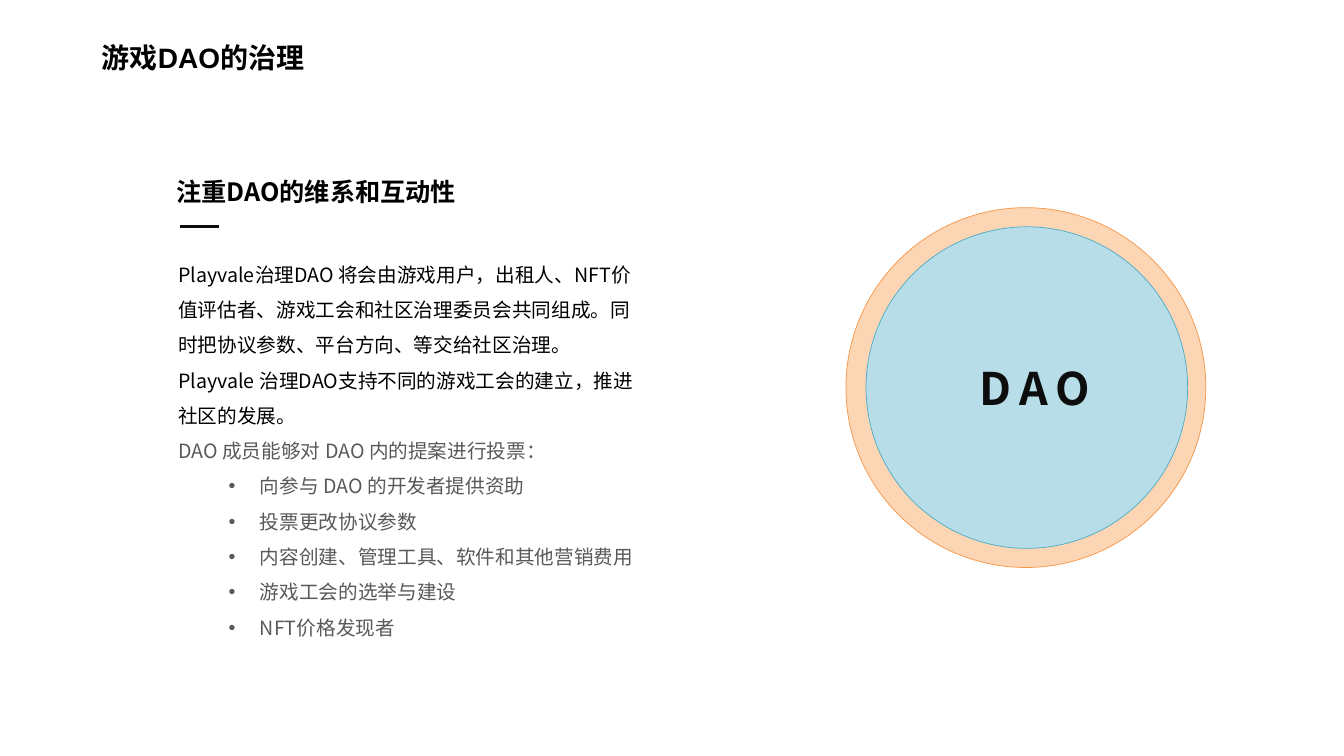
from lxml.etree import SubElement as Sub
from pptx import Presentation
from pptx.dml.color import RGBColor as Rgb
from pptx.enum.shapes import MSO_CONNECTOR as Link, MSO_SHAPE as Kind
from pptx.enum.text import MSO_AUTO_SIZE as Fit, PP_ALIGN as Align
from pptx.oxml.ns import qn
from pptx.util import Inches, Pt

INK = {
    "black": "000000", "dark": "0D0D0D", "grey": "595959",
    "peach": "FCD5B5", "orange": "F79646", "sky": "B7DEE8", "teal": "4BACC6",
}
SANS = "Noto Sans CJK SC"
LEAD = [
    "Playvale治理DAO 将会由游戏用户，出租人、NFT价值评估者、游戏工会和社区治理委员会共同组成。同时把协议参数、平台方向、等交给社区治理。",
    "Playvale 治理DAO支持不同的游戏工会的建立，推进社区的发展。",
]
VOTE = "DAO 成员能够对 DAO 内的提案进行投票："
ITEMS = [
    "向参与 DAO 的开发者提供资助",
    "投票更改协议参数",
    "内容创建、管理工具、软件和其他营销费用",
    "游戏工会的选举与建设",
    "NFT价格发现者",
]


def tint(name):
    return Rgb.from_string(INK[name])


def part(box, x, y, w, h):
    left, top, wide, high = box
    return (int(left + wide * x / 100), int(top + high * y / 100),
            int(wide * w / 100), int(high * h / 100))


def write(par, text, size=14, font=SANS, color="black", bold=False,
          gap=0, lead=None, align=None, dot=False):
    run = par.add_run()
    run.text = text
    run.font.size, run.font.name, run.font.bold = Pt(size), font, bold
    run.font.color.rgb = tint(color)
    props = run.font._element
    Sub(props, qn("a:ea")).set("typeface", SANS)
    if gap:
        props.set("spc", str(gap * 100))
    if lead:
        par.line_spacing = lead
    if align:
        par.alignment = align
    if dot:
        par.level = 1
        form = par._p.get_or_add_pPr()
        form.set("marL", str(Inches(0.81)))
        form.set("indent", str(Inches(-0.31)))
        Sub(form, qn("a:buFont")).set("typeface", "Arial")
        Sub(form, qn("a:buChar")).set("char", "•")


def frame(slide, box):
    text = slide.shapes.add_textbox(*box).text_frame
    text.word_wrap = True
    text.auto_size = Fit.SHAPE_TO_FIT_TEXT
    return text


def label(slide, box, text, **form):
    write(frame(slide, box).paragraphs[0], text, **form)


def disc(slide, box, fill, edge):
    shape = slide.shapes.add_shape(Kind.OVAL, *box)
    shape.shadow.inherit = False
    shape.fill.solid()
    shape.fill.fore_color.rgb = tint(fill)
    shape.line.color.rgb = tint(edge)
    shape.line.width = Pt(0.5)


def dash(slide, box):
    x, y, w, h = box
    line = slide.shapes.add_connector(Link.STRAIGHT, x, y, x + w, y + h)
    line.line.color.rgb = tint("dark")
    line.line.width = Pt(2.25)
    Sub(line._element.spPr, qn("a:effectLst"))


def title(slide, box):
    label(slide, box, "游戏DAO的治理", size=20, font="Arial", bold=True)


def story(slide, box):
    label(slide, part(box, 0, 0, 88.05, 8.46), "注重DAO的维系和互动性",
          size=18, bold=True)
    dash(slide, part(box, 2.94, 11.63, 7.97, 0))
    body = frame(slide, part(box, 0.42, 15.64, 99.58, 84.36))
    rows = [(text, {}) for text in LEAD]
    rows.append((VOTE, {"color": "grey"}))
    rows += [(text, {"color": "grey", "dot": True}) for text in ITEMS]
    for i, (text, form) in enumerate(rows):
        par = body.add_paragraph() if i else body.paragraphs[0]
        write(par, text, lead=1.5, **form)


def badge(slide, box):
    disc(slide, box, "peach", "orange")
    disc(slide, part(box, 5.6, 5.32, 89.36, 89.36), "sky", "teal")
    label(slide, part(box, 21.29, 41.18, 62.46, 17.93), "DAO", size=32,
          color="dark", bold=True, gap=6, align=Align.CENTER)


def main():
    deck = Presentation()
    deck.slide_width, deck.slide_height = Inches(13.33), Inches(7.5)
    slide = deck.slides.add_slide(deck.slide_layouts[6])
    page = (0, 0, deck.slide_width, deck.slide_height)
    title(slide, part(page, 6.83, 4.67, 35.41, 5.87))
    story(slide, part(page, 12.38, 22.67, 35.78, 63.07))
    badge(slide, part(page, 62.94, 27.47, 26.78, 47.6))
    deck.save("out.pptx")


if __name__ == "__main__":
    main()
